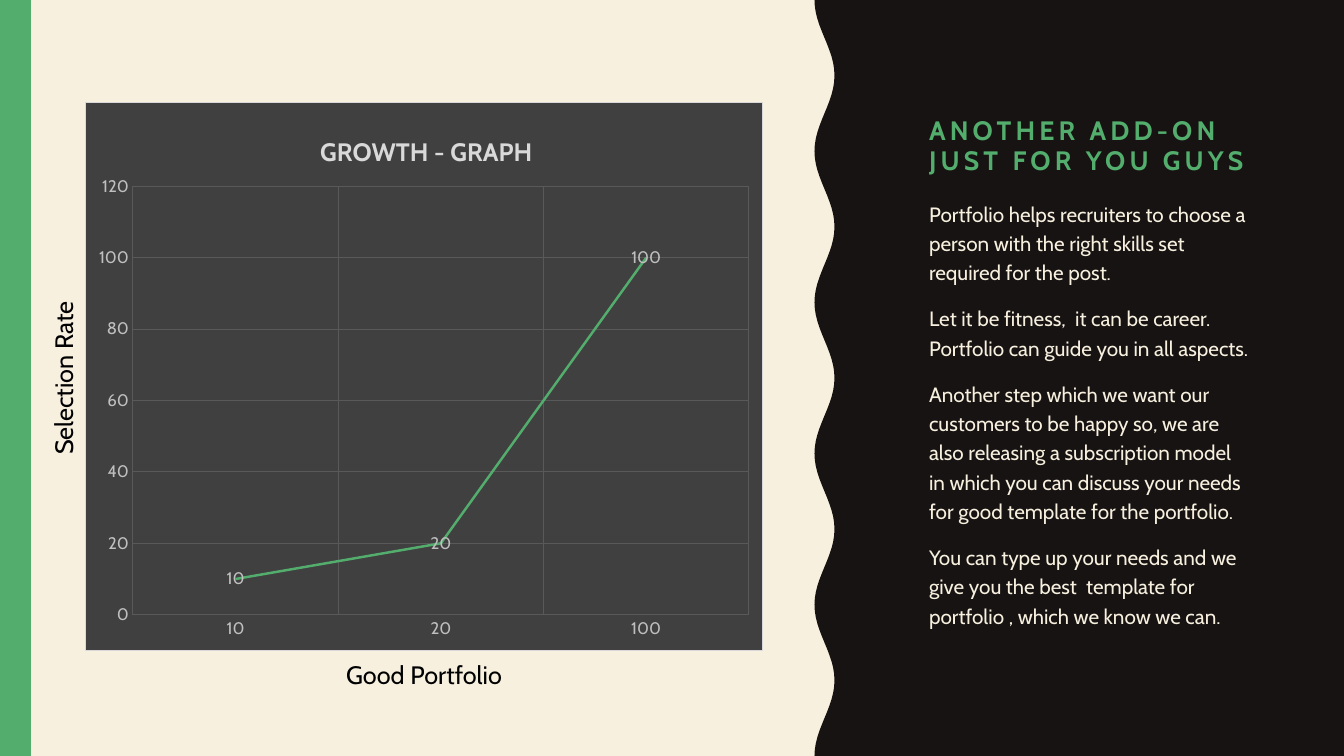
import math
from dataclasses import dataclass

from lxml import etree
from pptx import Presentation
from pptx.chart.data import CategoryChartData
from pptx.dml.color import RGBColor
from pptx.enum.chart import XL_CHART_TYPE, XL_LABEL_POSITION, XL_MARKER_STYLE, XL_TICK_MARK
from pptx.enum.shapes import MSO_SHAPE
from pptx.enum.text import MSO_ANCHOR, MSO_AUTO_SIZE, PP_ALIGN
from pptx.oxml.ns import qn
from pptx.util import Emu, Pt

LINE_CHART = XL_CHART_TYPE.LINE
LABEL_CENTER = XL_LABEL_POSITION.CENTER
NO_MARKER = XL_MARKER_STYLE.NONE
NO_TICK = XL_TICK_MARK.NONE
RECT = MSO_SHAPE.RECTANGLE
TOP, BOTTOM = MSO_ANCHOR.TOP, MSO_ANCHOR.BOTTOM
NO_FIT = MSO_AUTO_SIZE.NONE
LEFT, CENTER = PP_ALIGN.LEFT, PP_ALIGN.CENTER

SLIDE_W, SLIDE_H = 1344, 756
EMU_PER_PX = 914400 / 100.8


@dataclass(frozen=True)
class Theme:
    font: str = "Cabin"
    cream: str = "F7F0DF"
    dark: str = "171312"
    green: str = "53AE6E"
    black: str = "000000"
    chart_fill: str = "404040"
    grid: str = "595959"
    label: str = "BFBFBF"
    light: str = "D9D9D9"
    title_size: float = 19
    body_size: float = 14.8
    caption_size: float = 18
    chart_title_size: float = 18
    label_size: float = 12


THEME = Theme()

TITLE = "ANOTHER ADD-ON JUST FOR YOU GUYS"
BODY = [
    "Portfolio helps recruiters to choose a person with the right skills set "
    "required for the post.",
    "Let it be fitness,  it can be career. Portfolio can guide you in all aspects.",
    "Another step which we want our customers to be happy so, we are also releasing "
    "a subscription model in which you can discuss your needs for good template for "
    "the portfolio.",
    "You can type up your needs and we give you the best  template for portfolio , "
    "which we know we can.",
]


def px(n):
    return Emu(round(n * EMU_PER_PX))


def rgb(color):
    return RGBColor.from_string(color)


def style_font(font, size, color, bold=False):
    font.name = THEME.font
    font.size = Pt(size)
    font.bold = bold
    font.color.rgb = rgb(color)


def add_run(p, text, size, color, bold=False):
    r = p.add_run()
    r.text = text
    style_font(r.font, size, color, bold)
    return r


def paint_behind(s, sp, color):
    """Fill a backdrop shape and send it behind the placeholders."""
    sp.shadow.inherit = False
    sp.fill.solid()
    sp.fill.fore_color.rgb = rgb(color)
    sp.line.fill.background()
    s.shapes.element.insert(2, sp.element)


def add_rail(s):
    sp = s.shapes.add_shape(RECT, 0, 0, px(31), px(SLIDE_H))
    paint_behind(s, sp, THEME.green)


def add_wavy_panel(s, middle=824.5, swing=10, waves=5, steps=24):
    count = waves * steps
    edge = [
        (px(middle - swing * math.cos(2 * math.pi * i / steps)), px(SLIDE_H * i / count))
        for i in range(count + 1)
    ]
    builder = s.shapes.build_freeform(*edge[0])
    corners = [(px(SLIDE_W), px(SLIDE_H)), (px(SLIDE_W), 0)]
    builder.add_line_segments(edge[1:] + corners, close=True)
    paint_behind(s, builder.convert_to_shape(), THEME.dark)


def place_placeholder(sp, x, y, w, h, anchor):
    sp.left, sp.top, sp.width, sp.height = px(x), px(y), px(w), px(h)
    tf = sp.text_frame
    tf.word_wrap = True
    tf.auto_size = NO_FIT
    tf.vertical_anchor = anchor
    return tf


def fill_title(sp):
    tf = place_placeholder(sp, 919, 50, 341, 132, BOTTOM)
    p = tf.paragraphs[0]
    p.alignment = LEFT
    p.line_spacing = 0.95
    r = add_run(p, TITLE, THEME.title_size, THEME.green, bold=True)
    r.font._element.set("spc", "300")


def fill_body(sp):
    tf = place_placeholder(sp, 919, 192, 341, 459, TOP)
    for i, text in enumerate(BODY):
        p = tf.add_paragraph() if i else tf.paragraphs[0]
        p.alignment = LEFT
        p.line_spacing = 1.18
        p.space_before = Pt(12)
        add_run(p, text, THEME.body_size, THEME.cream)
        # Plain paragraphs: no bullet, no hanging indent
        pPr = p._p.get_or_add_pPr()
        pPr.set("marL", "0")
        pPr.set("indent", "0")
        etree.SubElement(pPr, qn("a:buNone"))


def add_caption(s, text, x, y, rotation=0):
    sp = s.shapes.add_textbox(px(x), px(y), px(268), px(40))
    sp.rotation = rotation
    tf = sp.text_frame
    tf.word_wrap = True
    p = tf.paragraphs[0]
    p.alignment = CENTER
    add_run(p, text, THEME.caption_size, THEME.black)


def manual_layout(parent, after, **values):
    """Pin a chart part at fractions of the chart area."""
    for old in parent.findall(qn("c:layout")):
        parent.remove(old)
    layout = etree.Element(qn("c:layout"))
    manual = etree.SubElement(layout, qn("c:manualLayout"))
    if "w" in values:
        etree.SubElement(manual, qn("c:layoutTarget"), val="inner")
    for name in ("x", "y"):
        etree.SubElement(manual, qn(f"c:{name}Mode"), val="edge")
    for name, value in values.items():
        etree.SubElement(manual, qn(f"c:{name}"), val=str(value))
    if after is None:
        parent.insert(0, layout)
    else:
        after.addnext(layout)


def style_axis(axis):
    axis.has_major_gridlines = True
    grid = axis.major_gridlines.format.line
    grid.color.rgb = rgb(THEME.grid)
    grid.width = Pt(0.75)
    axis.major_tick_mark = axis.minor_tick_mark = NO_TICK
    axis.format.line.fill.background()
    style_font(axis.tick_labels.font, THEME.label_size, THEME.label)


def fill_chart_area(chart):
    spPr = etree.Element(qn("c:spPr"))
    line = etree.Element(qn("a:ln"), w=str(Pt(0.75)))
    for parent, color in ((spPr, THEME.chart_fill), (line, THEME.light)):
        fill = etree.SubElement(parent, qn("a:solidFill"))
        etree.SubElement(fill, qn("a:srgbClr"), val=color)
    spPr.append(line)
    chart.element.find(qn("c:chart")).addnext(spPr)


def add_growth_chart(s):
    data = CategoryChartData()
    data.categories = ["10", "20", "100"]
    data.add_series("Series 1", (10, 20, 100))
    frame = s.shapes.add_chart(LINE_CHART, px(85), px(102), px(678), px(549), data)
    chart = frame.chart
    style_font(chart.font, 10, THEME.black)
    chart.has_legend = False
    fill_chart_area(chart)

    # Title and plot position
    chart.has_title = True
    p = chart.chart_title.text_frame.paragraphs[0]
    add_run(p, "GROWTH - GRAPH", THEME.chart_title_size, THEME.light, bold=True)
    title = chart.element.find(f".//{qn('c:title')}")
    manual_layout(title, title.find(qn("c:tx")), x=0.34, y=0.05)
    plot_area = chart.element.find(f".//{qn('c:plotArea')}")
    manual_layout(plot_area, None, x=0.07, y=0.153, w=0.91, h=0.782)

    # Axes
    style_axis(chart.category_axis)
    style_axis(chart.value_axis)
    chart.value_axis.minimum_scale = 0
    chart.value_axis.maximum_scale = 120
    chart.value_axis.major_unit = 20

    # Growth line and its labels
    plot = chart.plots[0]
    plot.vary_by_categories = False
    series = plot.series[0]
    series.smooth = False
    series.marker.style = NO_MARKER
    series.format.line.color.rgb = rgb(THEME.green)
    series.format.line.width = Pt(1.75)
    labels = series.data_labels
    labels.show_value = True
    labels.position = LABEL_CENTER
    style_font(labels.font, THEME.label_size, THEME.label)


def main():
    prs = Presentation()
    prs.slide_width, prs.slide_height = px(SLIDE_W), px(SLIDE_H)
    s = prs.slides.add_slide(prs.slide_layouts[1])
    s.background.fill.solid()
    s.background.fill.fore_color.rgb = rgb(THEME.cream)

    # Backdrop
    add_rail(s)
    add_wavy_panel(s)

    # Text column
    fill_title(s.shapes.title)
    fill_body(s.placeholders[1])

    # Chart with its axis captions
    add_growth_chart(s)
    add_caption(s, "Good Portfolio", 290, 654)
    add_caption(s, "Selection Rate", -71, 358, rotation=270)

    prs.save("out.pptx")


main()
